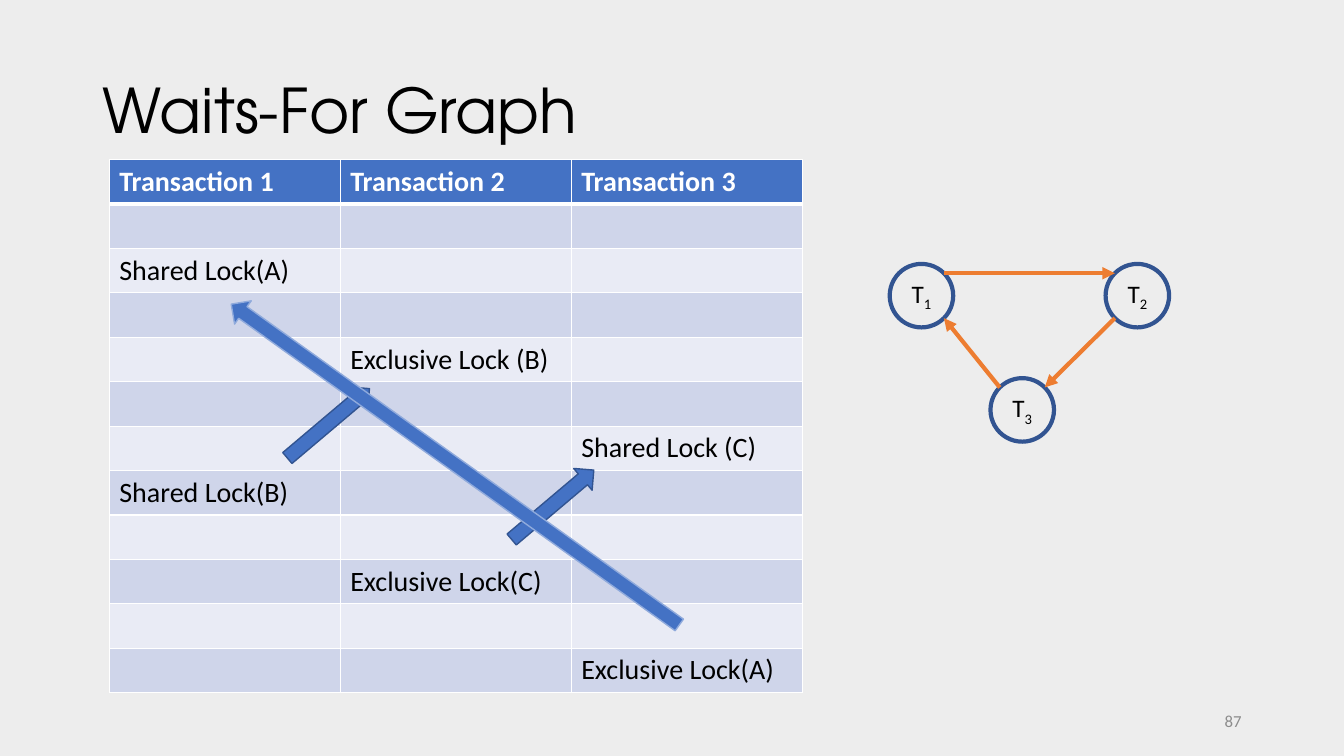
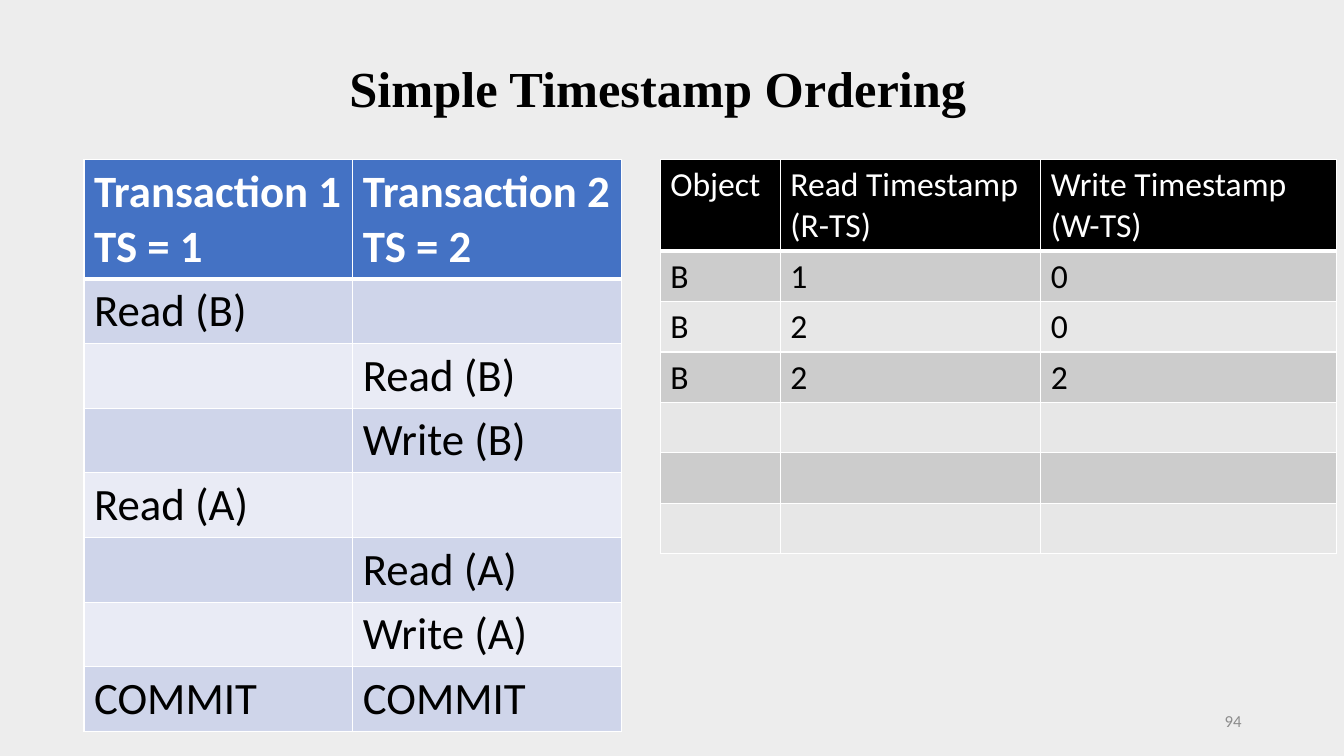
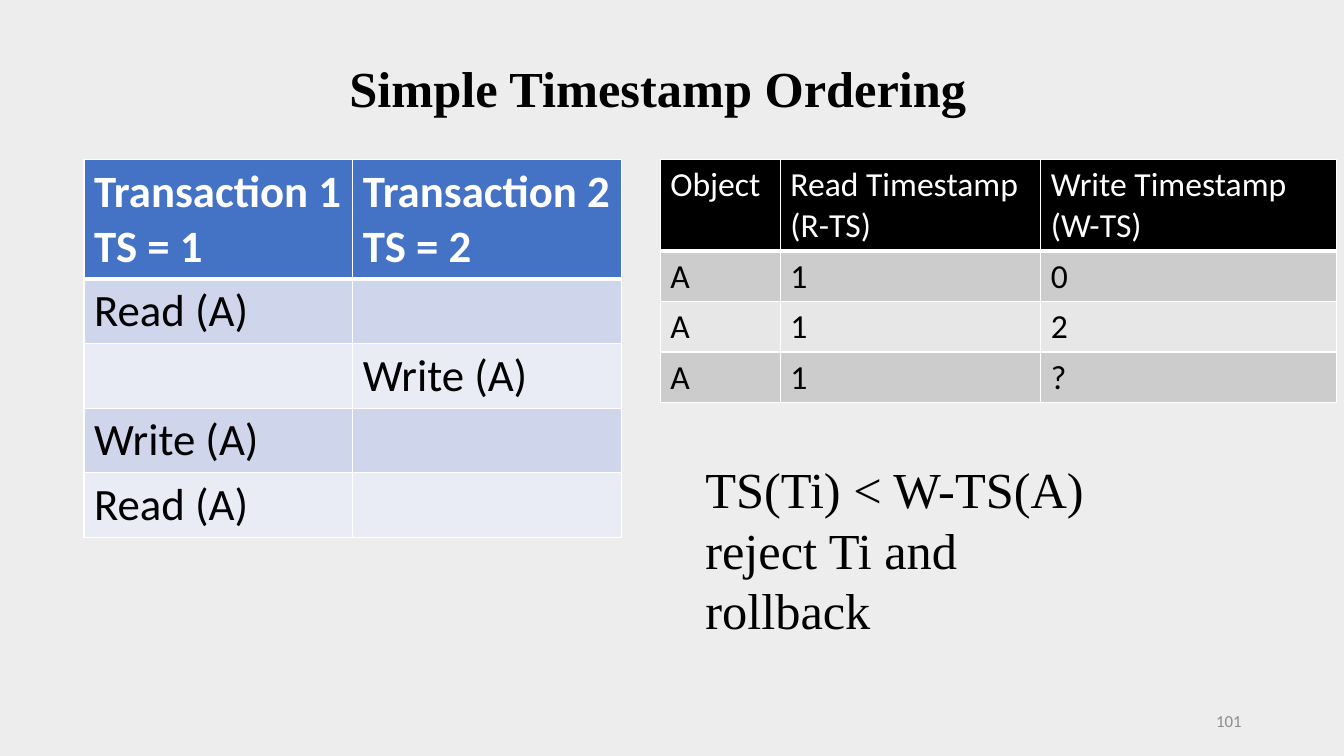
import dataclasses
import math
import typing

import lxml.etree
import pptx
import pptx.dml.color
import pptx.enum.shapes
import pptx.enum.text
import pptx.oxml.ns
import pptx.util

WIDE, HIGH = 160, 90
UNIT = pptx.util.Inches(13.33) / WIDE
RADIUS = 3.78
HUES = {
    "page": "EDEDED", "ink": "000000", "white": "FFFFFF", "gray": "8C8C8C",
    "blue": "4472C4", "navy": "325491", "sky": "8FAADC", "orange": "ED7D31",
    "dark": "CFD5EA", "light": "E9EBF5", "ash": "CCCCCC", "mist": "E7E7E7",
}
SHAPE = pptx.enum.shapes.MSO_SHAPE
ALIGN = pptx.enum.text.PP_ALIGN
ANCHOR = pptx.enum.text.MSO_ANCHOR


@dataclasses.dataclass(frozen=True)
class Font:
    name: str
    size: int
    hue: str = "ink"
    bold: bool = False


@dataclasses.dataclass(frozen=True)
class Title:
    box: tuple[float, float, float, float]
    font: Font
    space: float


@dataclasses.dataclass(frozen=True)
class Look:
    left: float
    cols: tuple[float, ...]
    head: float
    row: float
    size: int
    fill: str
    bands: tuple[str, str]
    bold: bool


@dataclasses.dataclass(frozen=True)
class Node:
    name: str
    x: float
    y: float

    def edge(self, right: int, down: int) -> tuple[float, float]:
        reach = RADIUS * math.sqrt(0.5)
        return self.x + right * reach, self.y + down * reach


@dataclasses.dataclass(frozen=True)
class Arrow:
    x: float
    y: float
    length: float
    turn: float
    rim: str


GRAPH = Title((11, 4.8, 138, 17.4), Font("TeX Gyre Adventor", 44), 0.9)
ORDER = Title((40.4, 6.1, 76.2, 8.5), Font("Times New Roman", 36, bold=True), 1)
LOCKS = Look(13, (27.5,) * 3, 5.29, 5.29, 20, "blue", ("dark", "light"), True)
STEPS = Look(10, (32,) * 2, 14.2, 7.7, 32, "blue", ("dark", "light"), True)
STAMPS = Look(78.6, (14.3, 31, 35.2), 10.9, 6, 24, "ink", ("ash", "mist"), False)
TOP = 19
THICK = 3.4
NOTE = Font("Times New Roman", 36)
FOOT = Font("Calibri", 12, "gray")
LABEL = Font("Calibri", 18)

LOCK_ROWS = [
    ("Transaction 1", "Transaction 2", "Transaction 3"),
    ("", "", ""),
    ("Shared Lock(A)", "", ""),
    ("", "", ""),
    ("", "Exclusive Lock (B)", ""),
    ("", "", ""),
    ("", "", "Shared Lock (C)"),
    ("Shared Lock(B)", "", ""),
    ("", "", ""),
    ("", "Exclusive Lock(C)", ""),
    ("", "", ""),
    ("", "", "Exclusive Lock(A)"),
]
STEP_HEAD = ("Transaction 1\nTS = 1", "Transaction 2\nTS = 2")
STAMP_HEAD = ("Object", "Read Timestamp (R-TS)", "Write Timestamp (W-TS)")
ARROWS = [
    Arrow(39.1, 50.4, 12.8, 319.8, "navy"),
    Arrow(65.8, 60.1, 12.8, 319.8, "navy"),
    Arrow(54.2, 55.3, 65.6, 215.6, "sky"),
]


def grid(*units: float) -> list[int]:
    return [round(unit * UNIT) for unit in units]


def tint(hue: str) -> pptx.dml.color.RGBColor:
    return pptx.dml.color.RGBColor.from_string(HUES[hue])


def write(frame: typing.Any, text: str, font: Font, align: typing.Any = ALIGN.LEFT,
          space: float = 1) -> None:
    frame.text = text
    for para in frame.paragraphs:
        para.alignment = align
        para.line_spacing = space
        para.font.name = font.name
        para.font.size = pptx.util.Pt(font.size)
        para.font.bold = font.bold
        para.font.color.rgb = tint(font.hue)


def stroke(shape: typing.Any, hue: str, width: float) -> None:
    shape.line.color.rgb = tint(hue)
    shape.line.width = pptx.util.Pt(width)


def add_page(deck: typing.Any, title: Title, text: str, number: int) -> typing.Any:
    page = deck.slides.add_slide(deck.slide_layouts.get_by_name("Title Only"))
    head = page.shapes.title
    head.left, head.top, head.width, head.height = grid(*title.box)
    frame = head.text_frame
    write(frame, text, title.font, space=title.space)
    frame.auto_size = pptx.enum.text.MSO_AUTO_SIZE.NONE
    frame.vertical_anchor = ANCHOR.MIDDLE
    frame.word_wrap = title is GRAPH
    foot = page.shapes.add_textbox(*grid(113, 83.4, 36, 4.8)).text_frame
    foot.word_wrap = True
    foot.vertical_anchor = ANCHOR.MIDDLE
    write(foot, str(number), FOOT, ALIGN.RIGHT)
    return page


def add_rim(cell: typing.Any, row: int) -> None:
    props = cell._tc.get_or_add_tcPr()
    wide = {"lnT": row == 1, "lnB": row == 0}
    for side in ("lnL", "lnR", "lnT", "lnB"):
        points = 3 if wide.get(side) else 1
        line = lxml.etree.SubElement(props, pptx.oxml.ns.qn(f"a:{side}"),
                                     w=str(pptx.util.Pt(points)))
        fill = lxml.etree.SubElement(line, pptx.oxml.ns.qn("a:solidFill"))
        lxml.etree.SubElement(fill, pptx.oxml.ns.qn("a:srgbClr"), val=HUES["white"])


def add_table(page: typing.Any, look: Look, rows: list[tuple[str, ...]]) -> None:
    high = look.head + look.row * (len(rows) - 1)
    table = page.shapes.add_table(len(rows), len(look.cols),
                                  *grid(look.left, TOP, sum(look.cols), high)).table
    table.horz_banding = False
    for column, width in zip(table.columns, grid(*look.cols)):
        column.width = width
    for r, texts in enumerate(rows):
        first = r == 0
        table.rows[r].height = grid(look.head if first else look.row)[0]
        font = Font("Calibri", look.size, "white" if first else "ink",
                    first and look.bold)
        for c, text in enumerate(texts):
            cell = table.cell(r, c)
            add_rim(cell, r)
            cell.fill.solid()
            cell.fill.fore_color.rgb = tint(look.fill if first else look.bands[(r - 1) % 2])
            if text:
                write(cell.text_frame, text, font)


def add_node(page: typing.Any, node: Node) -> None:
    disc = page.shapes.add_shape(SHAPE.OVAL, *grid(
        node.x - RADIUS, node.y - RADIUS, 2 * RADIUS, 2 * RADIUS))
    disc.shadow.inherit = False
    disc.fill.background()
    stroke(disc, "navy", 3)
    frame = disc.text_frame
    frame.word_wrap = False
    frame.vertical_anchor = ANCHOR.MIDDLE
    write(frame, "T", LABEL, ALIGN.CENTER)
    run = frame.paragraphs[0].add_run()
    run.text = node.name
    run._r.get_or_add_rPr().set("baseline", "-25000")
    for part in frame.paragraphs[0].runs:
        part.font.color.rgb = tint("ink")


def add_link(page: typing.Any, start: tuple[float, float],
             end: tuple[float, float]) -> None:
    link = page.shapes.add_connector(pptx.enum.shapes.MSO_CONNECTOR.STRAIGHT,
                                     *grid(*start, *end))
    stroke(link, "orange", 3)
    lxml.etree.SubElement(link.line._get_or_add_ln(),
                          pptx.oxml.ns.qn("a:tailEnd"), type="triangle")
    lxml.etree.SubElement(link._element.spPr, pptx.oxml.ns.qn("a:effectLst"))


def add_arrow(page: typing.Any, arrow: Arrow) -> None:
    shape = page.shapes.add_shape(SHAPE.RIGHT_ARROW, *grid(
        arrow.x - arrow.length / 2, arrow.y - THICK / 2, arrow.length, THICK))
    shape.rotation = arrow.turn
    shape.shadow.inherit = False
    shape.fill.solid()
    shape.fill.fore_color.rgb = tint("blue")
    stroke(shape, arrow.rim, 1)


def draw_graph(deck: typing.Any) -> None:
    page = add_page(deck, GRAPH, "Waits-For Graph", 87)
    add_table(page, LOCKS, LOCK_ROWS)
    one, two, three = nodes = (
        Node("1", 109.7, 35.2), Node("2", 135.4, 35.2), Node("3", 121.7, 48.8))
    for node in nodes:
        add_node(page, node)
    for arrow in ARROWS:
        add_arrow(page, arrow)
    add_link(page, one.edge(1, -1), two.edge(-1, -1))
    add_link(page, two.edge(-1, 1), three.edge(1, -1))
    add_link(page, three.edge(-1, -1), one.edge(1, 1))


def draw_order(deck: typing.Any, number: int, steps: list[tuple[str, ...]],
               stamps: list[tuple[str, ...]]) -> typing.Any:
    page = add_page(deck, ORDER, "Simple Timestamp Ordering", number)
    add_table(page, STEPS, [STEP_HEAD, *steps])
    add_table(page, STAMPS, [STAMP_HEAD, *stamps])
    return page


def main() -> None:
    deck = pptx.Presentation()
    deck.slide_width, deck.slide_height = grid(WIDE, HIGH)
    back = deck.slide_master.background.fill
    back.solid()
    back.fore_color.rgb = tint("page")

    draw_graph(deck)
    draw_order(
        deck, 94,
        [("Read (B)", ""), ("", "Read (B)"), ("", "Write (B)"), ("Read (A)", ""),
         ("", "Read (A)"), ("", "Write (A)"), ("COMMIT", "COMMIT")],
        [("B", "1", "0"), ("B", "2", "0"), ("B", "2", "2")] + [("", "", "")] * 3)
    page = draw_order(
        deck, 101,
        [("Read (A)", ""), ("", "Write (A)"), ("Write (A)", ""), ("Read (A)", "")],
        [("A", "1", "0"), ("A", "1", "2"), ("A", "1", "?")])
    note = page.shapes.add_textbox(*grid(82.8, 54, 52, 22)).text_frame
    note.word_wrap = True
    write(note, "TS(Ti) < W-TS(A)\nreject Ti and rollback", NOTE)
    deck.save("out.pptx")


if __name__ == "__main__":
    main()
